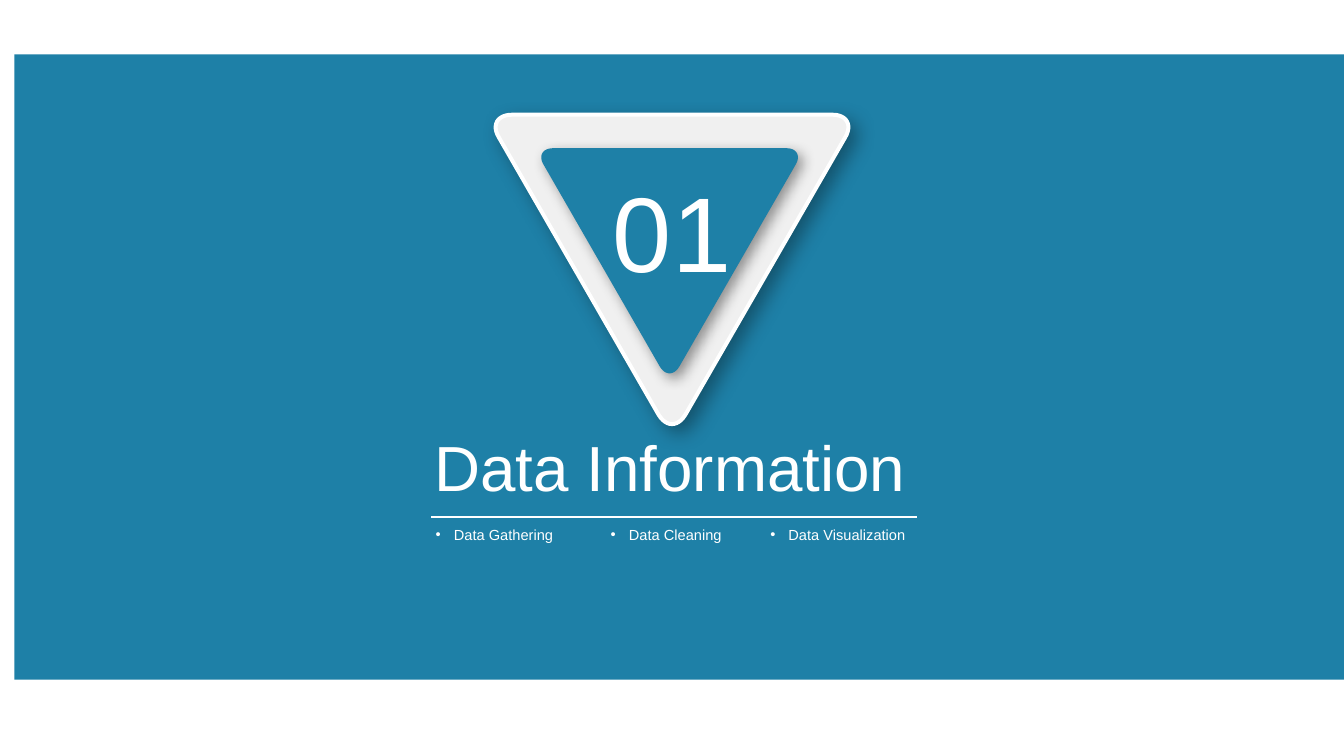
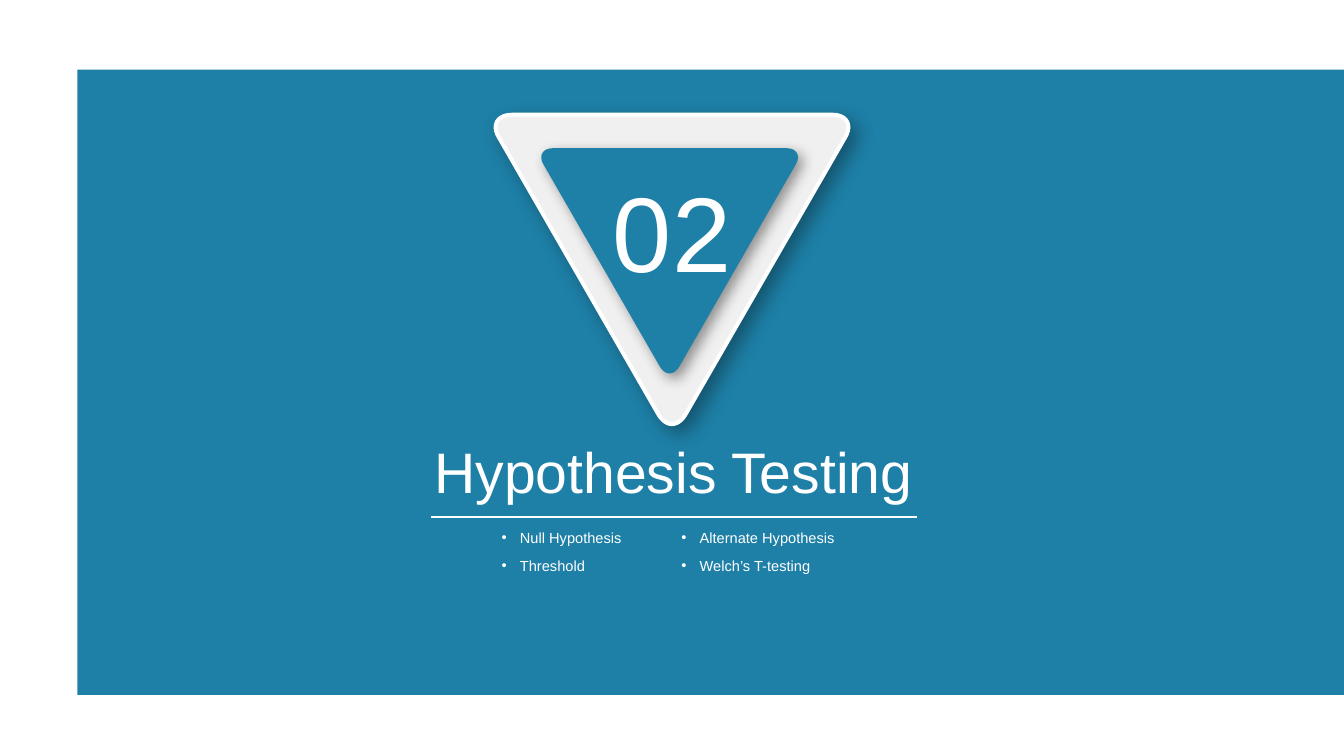
from lxml import etree
from pptx import Presentation
from pptx import util as u
from pptx.dml.color import RGBColor
from pptx.enum import shapes, text
from pptx.oxml.ns import qn

WIDE, HIGH = u.Inches(14.06), u.Inches(7.91)
BLUE = RGBColor(0x1E, 0x80, 0xA7)
WHITE = RGBColor(0xFF, 0xFF, 0xFF)
PALE = RGBColor(0xF0, 0xF0, 0xF0)
LIGHT = RGBColor(0xF1, 0xF1, 0xF1)
FONT = "Arial"

# Rounded corners of the triangle as cubic curves, in percent of its box.
CORNERS = [
    [(2.12, 7.34), (0, 3.36), (1.59, 0), (5.82, 0)],
    [(94.4, 0), (98.4, 0), (100, 3.36), (97.9, 7.34)],
    [(53.7, 96), (51.6, 100), (48.4, 100), (46.3, 96)],
]
STEPS = 12


def across(share):
    """Percent of the slide's width."""
    return u.Emu(round(WIDE * share / 100))


def down(share):
    """Percent of the slide's height."""
    return u.Emu(round(HIGH * share / 100))


def place(left, top, width, height):
    return across(left), down(top), across(width), down(height)


def add(parent, tag, **attrs):
    return etree.SubElement(parent, qn(tag), attrs)


def curve(ends):
    """Points along one cubic curve."""
    for step in range(STEPS + 1):
        t = step / STEPS
        mix = ((1 - t) ** 3, 3 * t * (1 - t) ** 2, 3 * t * t * (1 - t), t ** 3)
        yield tuple(sum(m * p[axis] for m, p in zip(mix, ends))
                    for axis in (0, 1))


def band(slide, left, top):
    """Blue field that runs to the right edge."""
    shape = slide.shapes.add_shape(
        shapes.MSO_SHAPE.RECTANGLE, *place(left, top, 100 - left, 82.68))
    shape.shadow.inherit = False
    shape.fill.solid()
    shape.fill.fore_color.rgb = BLUE
    shape.line.fill.background()


def shade(shape, alpha, blur, dist):
    """Black shadow towards the lower right."""
    shape.shadow.inherit = False
    effects = shape._element.spPr.find(qn("a:effectLst"))
    outer = add(effects, "a:outerShdw", blurRad=str(u.Pt(blur)),
                dist=str(u.Pt(dist)), dir=str(45 * 60000),
                algn="tl", rotWithShape="0")
    black = add(outer, "a:srgbClr", val="000000")
    add(black, "a:alpha", val=str(alpha * 1000))


def wedge(slide, left, top, width, height):
    """Rounded triangle that points down."""
    x, y, w, h = place(left, top, width, height)
    points = [(round(x + w * px / 100), round(y + h * py / 100))
              for corner in CORNERS for px, py in curve(corner)]
    pen = slide.shapes.build_freeform(*points[0], scale=1.0)
    pen.add_line_segments(points[1:], close=True)
    return pen.convert_to_shape()


def badge(slide, number):
    rim = wedge(slide, 36.56, 15.17, 26.88, 41.34)
    rim.fill.gradient()
    rim.fill.gradient_angle = 45
    for stop, color in zip(rim.fill.gradient_stops, (PALE, LIGHT)):
        stop.color.rgb = color
        stop.position = 0 if color == PALE else 1
    rim.line.color.rgb = WHITE
    rim.line.width = u.Pt(3)
    shade(rim, 35, 15, 7)
    core = wedge(slide, 40.04, 19.6, 19.56, 30.09)
    core.fill.solid()
    core.fill.fore_color.rgb = BLUE
    core.line.fill.background()
    shade(core, 40, 10, 5)
    label(slide, number, 80, (38.98, 21.37, 22.05, 18.33),
          align=text.PP_ALIGN.CENTER)


def label(slide, words, size, box, align=text.PP_ALIGN.LEFT, dot=False):
    """White text, with a bullet if dot is set; returns its frame."""
    frame = slide.shapes.add_textbox(*place(*box)).text_frame
    frame.word_wrap = True
    frame.text = words
    para = frame.paragraphs[0]
    para.alignment = align
    if dot:
        props = para._p.get_or_add_pPr()
        indent = u.Inches(0.19)
        props.set("marL", str(indent))
        props.set("indent", str(-indent))
        add(add(props, "a:buClr"), "a:srgbClr", val=str(WHITE))
        add(props, "a:buFont", typeface=FONT)
        add(props, "a:buChar", char="•")
    font = para.runs[0].font
    font.name, font.size = FONT, u.Pt(size)
    font.color.rgb = WHITE
    return frame


def title(slide, words, size):
    frame = label(slide, words, size, (32.33, 56.76, 37.27, 9.99))
    frame.margin_left = frame.margin_right = 0
    frame.margin_top = frame.margin_bottom = 0
    frame.vertical_anchor = text.MSO_ANCHOR.BOTTOM


def rule(slide):
    y = down(68.39)
    line = slide.shapes.add_connector(
        shapes.MSO_CONNECTOR.STRAIGHT, across(32.08), y, across(68.21), y)
    line.line.color.rgb = WHITE
    line.line.width = u.Pt(2)
    add(line._element.spPr, "a:effectLst")


def topics(slide, top, columns):
    """Bulleted labels in columns of (left, width, items)."""
    for left, width, items in columns:
        for row, item in enumerate(items):
            label(slide, item, 11, (left, top + row * 3.79, width, 3.67),
                  dot=True)


def section(deck, number, name, size, corner, top, columns):
    slide = deck.slides.add_slide(deck.slide_layouts[6])
    band(slide, *corner)
    badge(slide, number)
    rule(slide)
    title(slide, name, size)
    topics(slide, top, columns)


def main():
    deck = Presentation()
    deck.slide_width, deck.slide_height = WIDE, HIGH
    section(deck, "01", "Data Information", 48, (1.07, 7.21), 68.9, [
        (31.72, 11.6, ["Data Gathering"]),
        (44.74, 11.6, ["Data Cleaning"]),
        (56.61, 11.6, ["Data Visualization"]),
    ])
    section(deck, "02", "Hypothesis Testing", 43, (5.76, 9.23), 69.28, [
        (36.63, 11.6, ["Null Hypothesis", "Threshold"]),
        (50, 13.87, ["Alternate Hypothesis", "Welch’s T-testing"]),
    ])
    deck.save("out.pptx")


if __name__ == "__main__":
    main()
